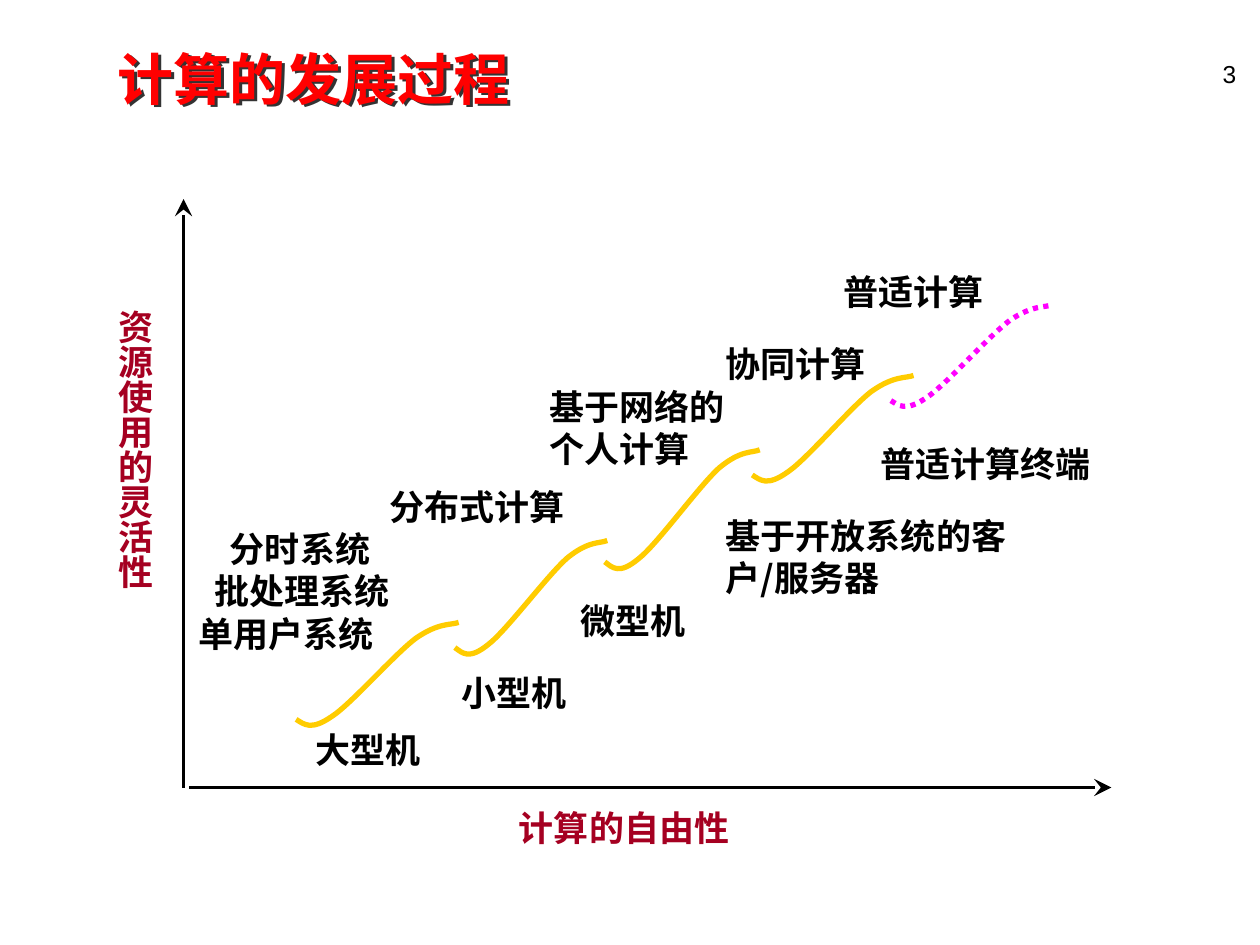
from pptx import Presentation
from pptx.dml.color import RGBColor
from pptx.enum.dml import MSO_LINE
from pptx.enum.shapes import MSO_CONNECTOR
from pptx.enum.text import MSO_ANCHOR, PP_ALIGN
from pptx.oxml import parse_xml
from pptx.oxml.ns import qn
from pptx.util import Inches, Pt

LINE = MSO_CONNECTOR.STRAIGHT
DOTS = MSO_LINE.ROUND_DOT
MID = MSO_ANCHOR.MIDDLE
LEFT, RIGHT = PP_ALIGN.LEFT, PP_ALIGN.RIGHT
NS = 'xmlns:a="http://schemas.openxmlformats.org/drawingml/2006/main"'

THEME = {
    "black": "000000", "title": "FF0000", "axis": "A50021",
    "past": "FFCC00", "next": "FF00FF", "shade": "333333",
    "cjk": "Noto Sans CJK SC", "serif": "Times New Roman", "sans": "Arial",
    "head": 32, "label": 20, "num": 14, "lead": 24,
}

deck = Presentation()
deck.slide_width, deck.slide_height = Inches(10), Inches(7.5)
slide = deck.slides.add_slide(deck.slide_layouts[6])
shapes = slide.shapes

# Grid of 100 columns by 75 rows
COL = deck.slide_width / 100
ROW = deck.slide_height / 75


def paint(name):
    return RGBColor.from_string(THEME[name])


def label(text, x, y, w, h, ink="black", size="label", face="cjk",
          pad=(0, 0), lead=True, bold=True, align=LEFT):
    box = shapes.add_textbox(int(x * COL), int(y * ROW), int(w * COL), int(h * ROW))
    frame = box.text_frame
    frame.word_wrap = True
    frame.margin_left = frame.margin_right = int(pad[0] * COL)
    frame.margin_top = frame.margin_bottom = int(pad[1] * ROW)
    frame.text = text
    for para in frame.paragraphs:
        para.alignment = align
        if lead:
            para.line_spacing = Pt(THEME["lead"])
        for run in para.runs:
            font = run.font
            font.size, font.bold = Pt(THEME[size]), bold
            font.name = THEME[face]
            font.color.rgb = paint(ink)
            latin = run._r.rPr.find(qn("a:latin"))
            latin.addnext(parse_xml(f'<a:ea {NS} typeface="{THEME["cjk"]}"/>'))
    return box


# Page number and title
label("3", 78.3, 4.2, 20.8, 5, size="num", face="sans", pad=(1, 0.5),
      lead=False, bold=False, align=RIGHT)
title = label("计算的发展过程", 8.35, 2.35, 86.7, 7.7, "title", "head", "serif",
              pad=(1, 0.5), lead=False)
title.text_frame.vertical_anchor = MID
title._element.spPr.append(parse_xml(
    f'<a:effectLst {NS}><a:outerShdw dist="25400" dir="2700000">'
    f'<a:srgbClr val="{THEME["shade"]}"/></a:outerShdw></a:effectLst>'))

# Axes
for x, y, right, top in ((14.57, 62.5, 14.57, 15.8), (15, 62.5, 88.2, 62.5)):
    axis = shapes.add_connector(LINE, int(x * COL), int(y * ROW),
                                int(right * COL), int(top * ROW))
    axis.line.color.rgb = paint("black")
    axis.line.width = Pt(1.5)
    axis.line._get_or_add_ln().append(
        parse_xml(f'<a:tailEnd {NS} type="stealth" w="lg" len="lg"/>'))
    axis._element.spPr.append(parse_xml(f'<a:effectLst {NS}/>'))

# One S-shaped wave of three Bezier arcs, as shares of its run and rise
WAVE = ((0.05, -0.05), (0.09, -0.12), (0.22, 0.03), (0.34, 0.16),
        (0.61, 0.68), (0.74, 0.84), (0.88, 1), (0.95, 0.97), (1, 1))

# Stages: left, base, run, rise, colour
stages = (
    (23.5, 57.1, 12.9, 7.7, "past"),
    (36.1, 51.4, 12.1, 8.5, "past"),
    (48, 44.6, 12.3, 8.9, "past"),
    (59.7, 37.7, 12.8, 7.9, "past"),
    (70.7, 31.8, 12.8, 7.6, "next"),
)
for x, y, run, rise, ink in stages:
    pen = shapes.build_freeform(int(x * COL), int(y * ROW))
    pen.add_line_segments([(int((x + u * run) * COL), int((y - v * rise) * ROW))
                           for u, v in WAVE], close=False)
    curve = pen.convert_to_shape()
    # Join each three straight steps into one Bezier arc
    steps = list(curve._element.iter(qn("a:lnTo")))
    for i in range(0, len(steps), 3):
        arc = parse_xml(f'<a:cubicBezTo {NS}/>')
        steps[i].addprevious(arc)
        for step in steps[i:i + 3]:
            arc.append(step[0])
            step.getparent().remove(step)
    curve.shadow.inherit = False
    curve.fill.background()
    curve.line.color.rgb = paint(ink)
    curve.line.width = Pt(3)
    if ink == "next":
        curve.line.dash_style = DOTS

# Stage labels: ways of computing above, machines below
systems = label("分时系统\n批处理系统\n单用户系统", 15.75, 41.9, 21.2, 10)
for para, inset in zip(systems.text_frame.paragraphs, (2.5, 1.25, 0)):
    para._p.get_or_add_pPr().set("marL", str(int(inset * COL)))
for text, x, y, w, h in (
    ("大型机", 25, 57.8, 21.2, 3.3),
    ("分布式计算", 30.9, 38.5, 21.1, 3.3),
    ("小型机", 36.65, 53.3, 21.2, 3.3),
    ("基于网络的\n个人计算", 43.6, 30.6, 21.2, 6.7),
    ("微型机", 46.1, 47.6, 19.5, 3.3),
    ("协同计算", 57.6, 27.2, 21.2, 3.3),
    ("基于开放系统的客户/服务器", 57.6, 40.8, 24.4, 6.7),
    ("普适计算", 66.95, 21.5, 21.2, 3.3),
    ("普适计算终端", 69.9, 35.1, 22.6, 3.3),
):
    label(text, x, y, w, h)

# Axis names
upright = label("资源使用的灵活性", 7.6, 23.55, 5.3, 26.1, "axis", pad=(0.5, 1))
upright.text_frame._txBody.bodyPr.set("vert", "eaVert")
label("计算的自由性", 40.2, 63.5, 26.8, 4.4, "axis", pad=(1, 0.5))

deck.save("out.pptx")
